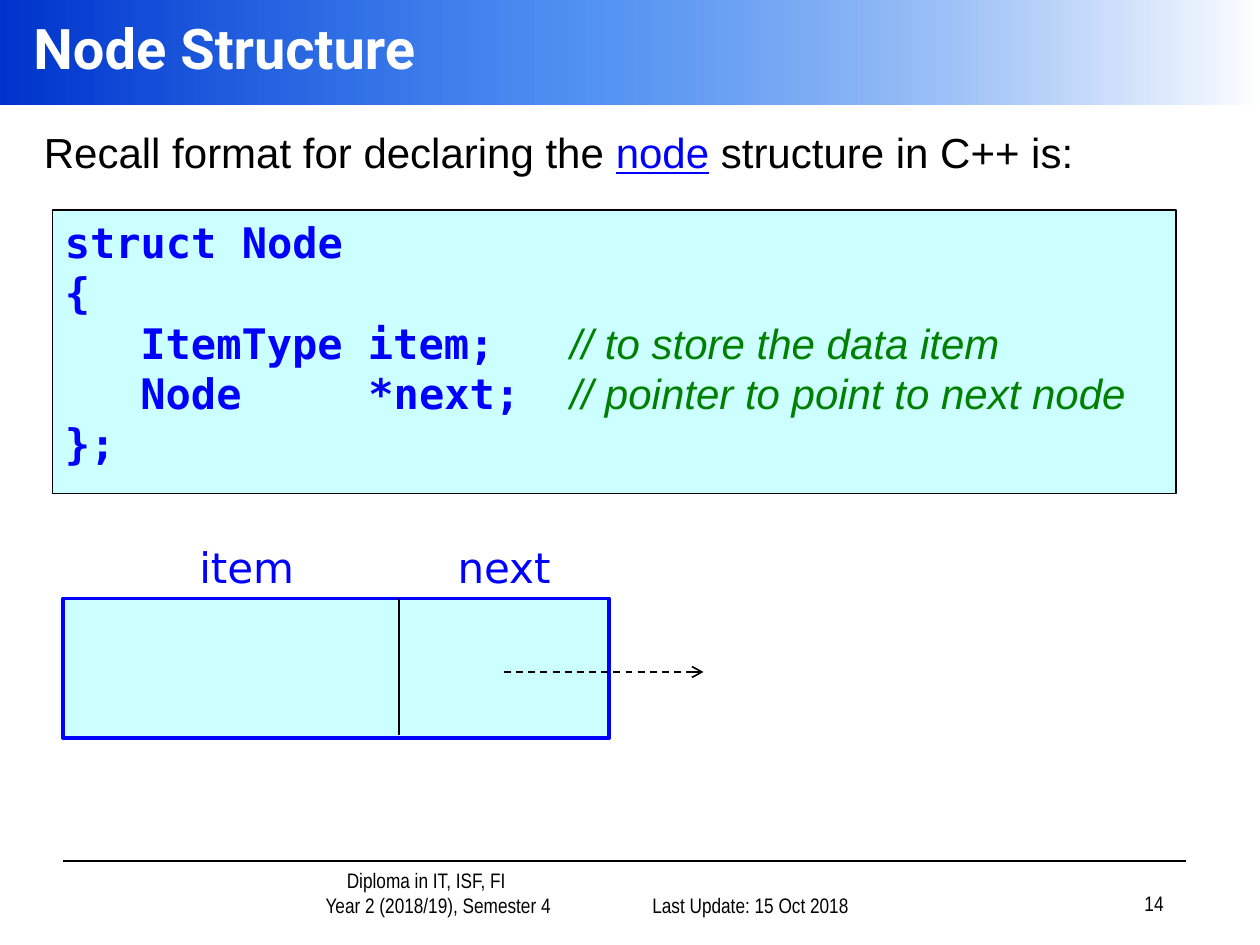
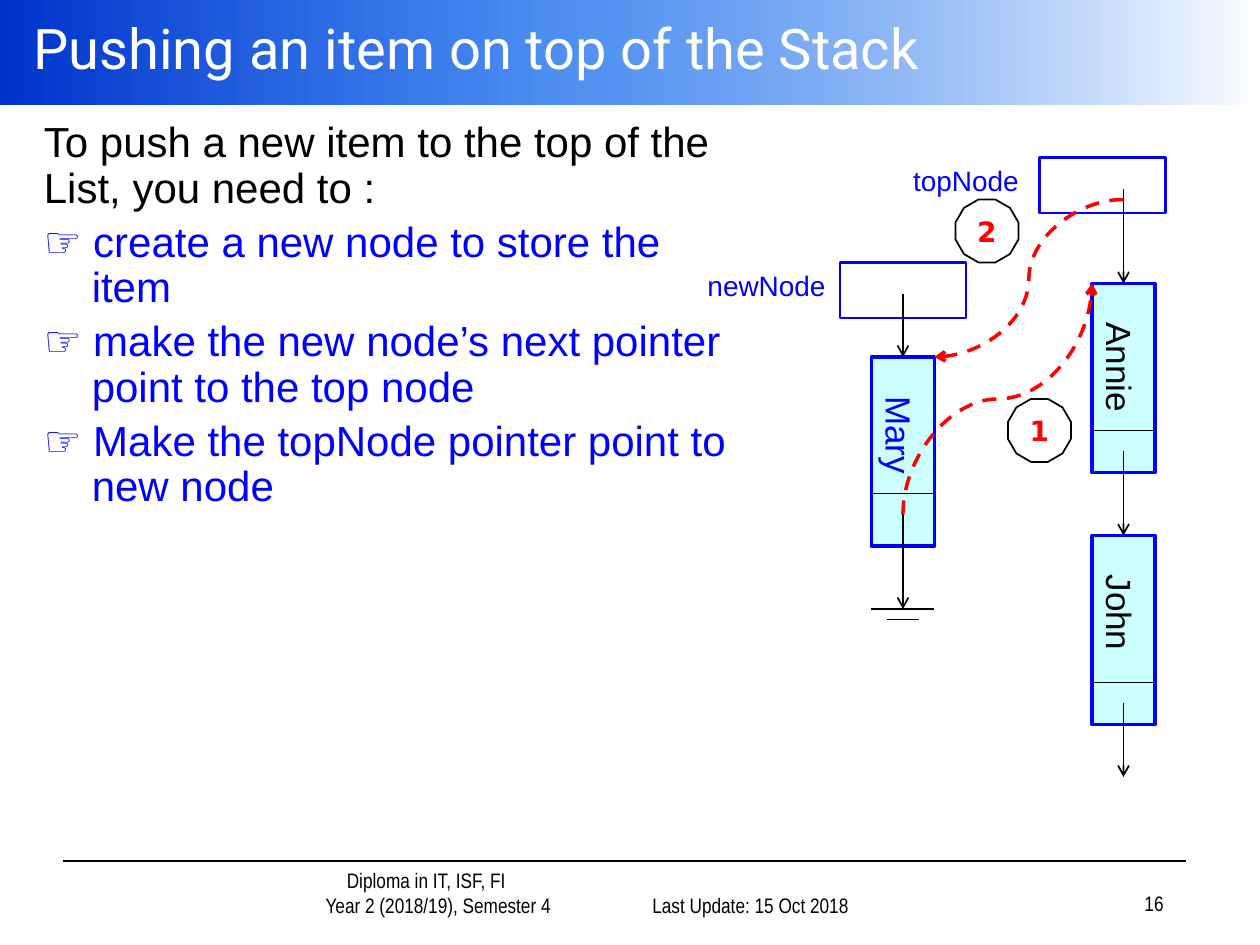
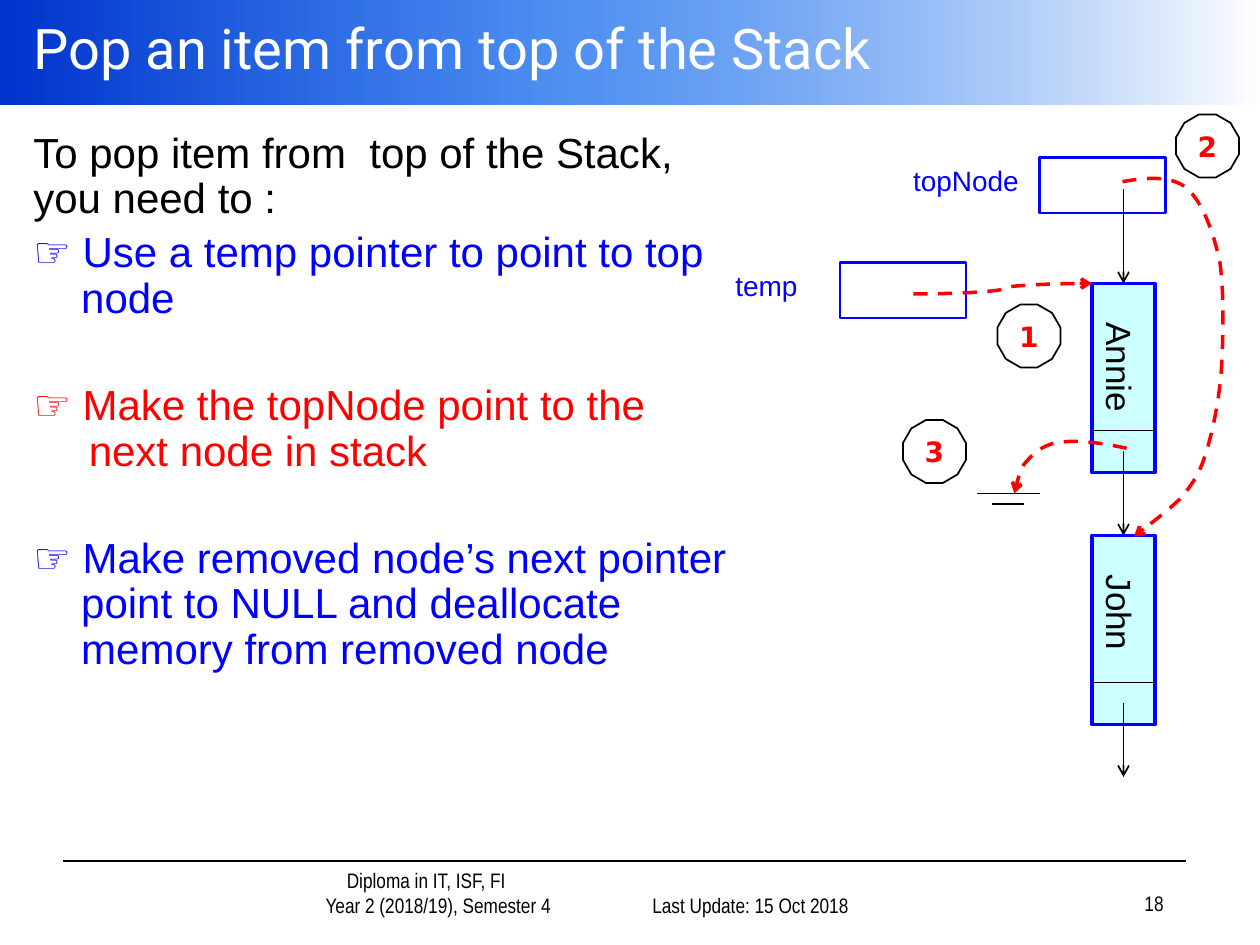
from copy import deepcopy
from dataclasses import dataclass, replace

from lxml.etree import SubElement
from pptx import Presentation
from pptx.dml.color import RGBColor
from pptx.enum.dml import MSO_LINE
from pptx.enum.shapes import MSO_CONNECTOR, MSO_SHAPE
from pptx.enum.text import MSO_ANCHOR, PP_ALIGN
from pptx.oxml.ns import qn
from pptx.util import Inches, Pt

BLACK = RGBColor(0x00, 0x00, 0x00)
WHITE = RGBColor(0xFF, 0xFF, 0xFF)
BLUE = RGBColor(0x00, 0x00, 0xFF)
RED = RGBColor(0xFF, 0x00, 0x00)
GREEN = RGBColor(0x00, 0x80, 0x00)
CYAN = RGBColor(0xCC, 0xFF, 0xFF)
BAND_COLORS = [(0, RGBColor(0x00, 0x33, 0xCC)), (0.43, RGBColor(0x00, 0x5E, 0xEB)), (1, WHITE)]

COLUMNS, ROWS = 120, 90
UNIT = Inches(10) / COLUMNS
NODE_LENGTH, NODE_WIDTH = 18, 6


@dataclass(frozen=True)
class Font:
    size: float = 24
    name: str = "Arial"
    color: RGBColor = BLACK
    bold: bool = False
    italic: bool = False
    underline: bool = False


BODY = Font()
POINT = replace(BODY, color=BLUE)
ALERT = replace(BODY, color=RED)
FOOTER = Font(12, "Arial Narrow")
LABEL = Font(16, color=BLUE)
FIELD = Font(24, "DejaVu Sans", BLUE)
BADGE = Font(16, "DejaVu Sans", RED, bold=True)
CODE = Font(24, "DejaVu Sans Mono", BLUE, bold=True)
COMMENT = Font(color=GREEN, italic=True)
TITLE = Font(32, "Roboto", WHITE)


def grid(*values):
    return [round(v * UNIT) for v in values]


class Deck:
    """Draws on the current slide; lengths are in grid columns and rows."""

    def __init__(self):
        self.prs = Presentation()
        self.prs.slide_width, self.prs.slide_height = grid(COLUMNS, ROWS)

    def new_slide(self, title, number, bold=False):
        self.shapes = self.prs.slides.add_slide(self.prs.slide_layouts[6]).shapes
        self.band()
        self.line((6, 82), (113, 82))
        tf = self.text((20.2, 83, 34.8, 5), "Diploma in IT, ISF, FI", FOOTER,
                       PP_ALIGN.CENTER, MSO_ANCHOR.BOTTOM)
        self.hang(tf.paragraphs[0], 0.5, 0)
        p = self.paragraph(tf, [("Year 2 (2018/19), Semester 4", FOOTER)], PP_ALIGN.CENTER)
        self.hang(p, 0.69, 0)
        for box, words in (((57, 83, 25, 5), "Last Update: 15 Oct 2018"),
                           ((87, 82.8, 25, 5), str(number))):
            self.text(box, words, FOOTER, PP_ALIGN.RIGHT, MSO_ANCHOR.BOTTOM)
        self.text((2, 0, 118, 9), title, replace(TITLE, bold=bold), anchor=MSO_ANCHOR.MIDDLE)

    def band(self):
        s = self.box((0, 0, COLUMNS, 10))
        s.fill.gradient()
        s.fill.gradient_angle = 0
        stops = s._element.spPr.find(qn("a:gradFill")).find(qn("a:gsLst"))
        stops.append(deepcopy(stops[-1]))
        for stop, (position, color) in zip(s.fill.gradient_stops, BAND_COLORS):
            stop.position = position
            stop.color.rgb = color
        SubElement(stops[1][0], qn("a:alpha")).set("val", "70000")

    def paragraph(self, tf, runs, align=PP_ALIGN.LEFT):
        """Fill the first paragraph while it is empty, else add one."""
        p = tf.paragraphs[0]
        if p.runs:
            p = tf.add_paragraph()
        p.alignment = align
        for words, font in runs:
            r = p.add_run()
            r.text = words
            r.font.size, r.font.name = Pt(font.size), font.name
            r.font.color.rgb = font.color
            r.font.bold, r.font.italic = font.bold, font.italic
            r.font.underline = font.underline
        return p

    def hang(self, p, margin, indent):
        pPr = p._p.get_or_add_pPr()
        pPr.set("marL", str(Inches(margin)))
        pPr.set("indent", str(Inches(indent)))

    def text(self, box, words=None, font=BODY, align=PP_ALIGN.LEFT, anchor=MSO_ANCHOR.TOP):
        tf = self.shapes.add_textbox(*grid(*box)).text_frame
        tf.word_wrap = True
        tf.vertical_anchor = anchor
        if words:
            self.paragraph(tf, [(words, font)], align)
        return tf

    def steps(self, box, intro, points):
        """Body text; each point is (words, font, space before, hanging indent)."""
        tf = self.text(box)
        self.paragraph(tf, intro).line_spacing = 0.9
        for words, font, before, indent in points:
            p = self.paragraph(tf, [("☞ ", replace(font, bold=True)), (words, font)])
            p.line_spacing, p.space_before = 0.9, Pt(before)
            self.hang(p, indent, -indent)

    def box(self, box, fill=None, color=None, width=1, kind=MSO_SHAPE.RECTANGLE):
        s = self.shapes.add_shape(kind, *grid(*box))
        self.paint(s, fill, color, width)
        return s

    def paint(self, s, fill, color, width):
        s.shadow.inherit = False
        if fill is None:
            s.fill.background()
        else:
            s.fill.solid()
            s.fill.fore_color.rgb = fill
        if color is None:
            s.line.fill.background()
        else:
            s.line.color.rgb = color
            s.line.width = Pt(width)

    def code(self, box, lines, tabs):
        tf = self.box(box, CYAN, BLACK, 0.75).text_frame
        tf.vertical_anchor = MSO_ANCHOR.TOP
        for runs in lines:
            p = self.paragraph(tf, runs)
            stops = SubElement(p._p.get_or_add_pPr(), qn("a:tabLst"))
            for position in tabs:
                tab = SubElement(stops, qn("a:tab"))
                tab.set("pos", str(Inches(position)))
                tab.set("algn", "l")

    def arrowhead(self, s):
        SubElement(s.line._get_or_add_ln(), qn("a:tailEnd")).set("type", "arrow")

    def connector(self, kind, start, end, color=BLACK, width=1, dashed=False, arrow=False):
        s = self.shapes.add_connector(kind, *grid(*start, *end))
        s.line.color.rgb = color
        s.line.width = Pt(width)
        if dashed:
            s.line.dash_style = MSO_LINE.DASH
        if arrow:
            self.arrowhead(s)
        SubElement(s._element.spPr, qn("a:effectLst"))
        return s

    def line(self, start, end, **style):
        return self.connector(MSO_CONNECTOR.STRAIGHT, start, end, **style)

    def arrow(self, start, end, node=None):
        """Arrow whose end is joined to the top of a node, if one is given."""
        s = self.line(start, end, arrow=True)
        if node is not None:
            s.end_connect(node, 1)  # left side of a node turned by 90 degrees
            s.end_x, s.end_y = grid(*end)

    def curve(self, start, end, vertical=False):
        """Red S-curve; a vertical one leaves its start upwards or downwards."""
        if vertical:
            (x1, y1), (x2, y2) = start, end
            cx, cy = (x1 + x2) / 2, (y1 + y2) / 2
            u, v = (y2 - y1) / 2, (x1 - x2) / 2
            start, end = (cx - u, cy - v), (cx + u, cy + v)
        s = self.connector(MSO_CONNECTOR.CURVE, start, end, RED, 2, dashed=True, arrow=True)
        if vertical:
            s._element.spPr.find(qn("a:xfrm")).set("rot", "5400000")

    def swoop(self, points):
        """Red Bézier path: a start, then three points for each segment."""
        points = [grid(*point) for point in points]
        builder = self.shapes.build_freeform(*points[0], scale=1.0)
        builder.add_line_segments(points[1:], close=False)
        s = builder.convert_to_shape()
        self.paint(s, None, RED, 2)
        s.line.dash_style = MSO_LINE.DASH
        self.arrowhead(s)
        path = s._element.spPr.find(".//" + qn("a:path"))
        segments = path.findall(qn("a:lnTo"))
        for i in range(0, len(segments), 3):
            bezier = SubElement(path, qn("a:cubicBezTo"))
            for segment in segments[i:i + 3]:
                bezier.append(segment[0])
                path.remove(segment)

    def badge(self, x, y, number):
        s = self.box((x, y, 6, 6), None, BLACK, 1, MSO_SHAPE.DODECAGON)
        tf = s.text_frame
        tf.margin_left = tf.margin_right = tf.margin_top = tf.margin_bottom = 0
        tf.vertical_anchor = MSO_ANCHOR.MIDDLE
        self.paragraph(tf, [(str(number), BADGE)], PP_ALIGN.CENTER)

    def pointer(self, x, y, name, label_x):
        self.text((label_x, y, 16, 4.4), name, LABEL, PP_ALIGN.CENTER)
        self.box((x, y, 12, 5.3), None, BLUE, 1.5)

    def node(self, x, y, name, color=BLACK, divider=14):
        """Upright list node whose top side has its middle at x, y."""
        s = self.box((x - NODE_LENGTH / 2, y + (NODE_LENGTH - NODE_WIDTH) / 2,
                      NODE_LENGTH, NODE_WIDTH), CYAN, BLUE, 2)
        s.rotation = 90
        tf = s.text_frame
        tf.vertical_anchor = MSO_ANCHOR.TOP
        tf.margin_left, tf.margin_top = Inches(0.31), Inches(0.11)
        self.paragraph(tf, [(name, Font(20, color=color))])
        self.line((x - 3, y + divider), (x + 3, y + divider))
        return s

    def null(self, x, y):
        for half, row in ((3, y), (1.5, y + 1)):
            self.line((x - half, row), (x + half, row))

    def stack(self):
        self.pointer(99, 15, "topNode", 84)
        annie = self.node(107, 27, "Annie")
        john = self.node(107, 51, "John")
        self.arrow((107, 18), (107, 27), annie)
        self.arrow((107, 43), (107, 51), john)
        self.arrow((107, 67), (107, 74))


def node_structure(deck):
    deck.new_slide("Node Structure", 14, bold=True)
    tf = deck.text((3, 12, 115, 8))
    deck.paragraph(tf, [("Recall format for declaring the ", BODY),
                        ("node", replace(POINT, underline=True)),
                        (" structure in C++ is:", BODY)]).line_spacing = 0.9
    deck.box((6, 57, 52, 13.3), CYAN, BLUE, 2)
    deck.line((38, 57), (38, 70))
    deck.text((14, 51, 19, 6.1), "item", FIELD, PP_ALIGN.CENTER)
    deck.text((40, 51, 16, 6.1), "next", FIELD, PP_ALIGN.CENTER)
    deck.line((48, 64), (67, 64), dashed=True, arrow=True)
    deck.code((5, 20, 107, 27), [
        [("struct Node", CODE)],
        [("{", CODE)],
        [("\tItemType item;\t", CODE), ("// to store the data item", COMMENT)],
        [("\tNode\t*next;\t", CODE), ("// pointer to point to next node", COMMENT)],
        [("};", CODE)],
    ], tabs=(0.6, 2.41, 4.01))


def push(deck):
    deck.new_slide("Pushing an item on top of the Stack", 16)
    deck.steps((3, 11, 69, 58),
               [("To push a new item to the top of the List, you need to :", BODY)],
               [(words, POINT, 5, 0.38) for words in (
                   "create a new node to store the item",
                   "make the new node’s next pointer point to the top node",
                   "Make the topNode pointer point to new node")])
    deck.stack()
    deck.pointer(80, 25, "newNode", 65)
    mary = deck.node(86, 34, "Mary", BLUE, divider=13)
    deck.arrow((86, 28), (86, 34), mary)
    deck.arrow((86, 49), (86, 58))
    deck.null(86, 58)
    deck.curve((86, 49), (104, 27), vertical=True)
    deck.curve((107, 19), (89, 34))
    deck.badge(96, 38, 1)
    deck.badge(91, 19, 2)


def pop(deck):
    deck.new_slide("Pop an item from top of the Stack", 18)
    deck.steps((2, 12, 68.6, 60),
               [("To pop item from  top of the Stack, you need to :", BODY)],
               [("Use a temp pointer to point to top node", POINT, 5, 0.38),
                ("Make the topNode point to the next node in stack", ALERT, 35.5, 0.44),
                ("Make removed node’s next pointer point to NULL and deallocate "
                 "memory from removed node", POINT, 35.5, 0.38)])
    deck.stack()
    deck.pointer(80, 25, "temp", 65)
    deck.null(96, 47)
    deck.curve((87, 28), (104, 27))
    deck.swoop([(106.9, 17.3), (109.2, 16.9), (111.5, 16.7), (113, 17.9),
                (114.5, 19.2), (115.6, 22.1), (116.2, 25.1),
                (116.6, 28.1), (116.5, 32.6), (116.3, 35.6),
                (116, 38.8), (115.4, 41.4), (114.8, 43.3),
                (114.2, 45.2), (113.6, 46), (112.6, 47.3),
                (111.4, 48.5), (108, 51.1), (108, 51.1)])
    deck.swoop([(107.3, 42.7), (105, 42.2), (102.7, 41.9), (101.2, 42.1),
                (99.6, 42.2), (98.6, 43), (97.9, 43.8),
                (97.1, 44.6), (96.6, 47), (96.6, 47)])
    for x, y, number in ((95, 29, 1), (112, 10.9, 2), (86, 40, 3)):
        deck.badge(x, y, number)


def main():
    deck = Deck()
    for build in (node_structure, push, pop):
        build(deck)
    deck.prs.save("out.pptx")


if __name__ == "__main__":
    main()
